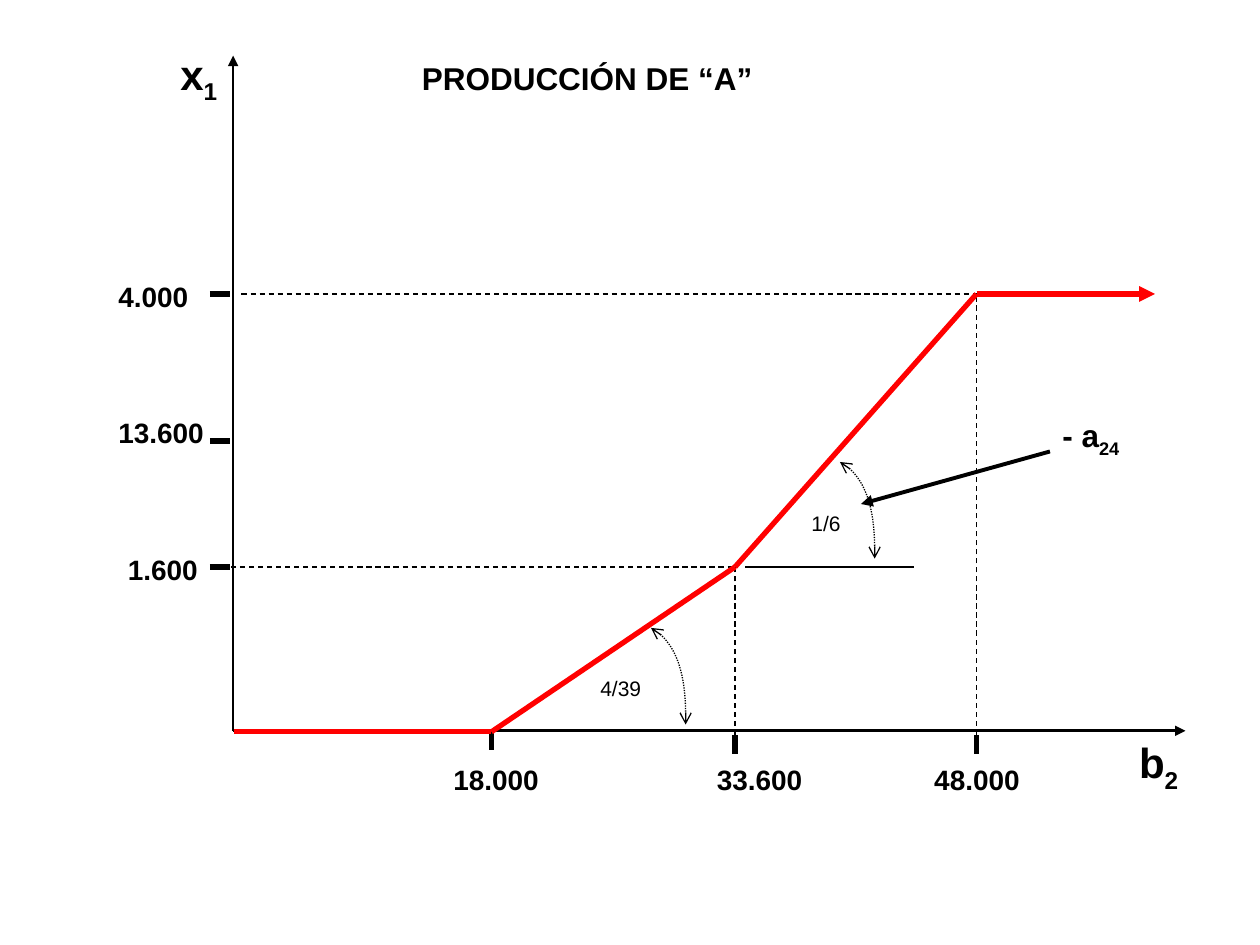
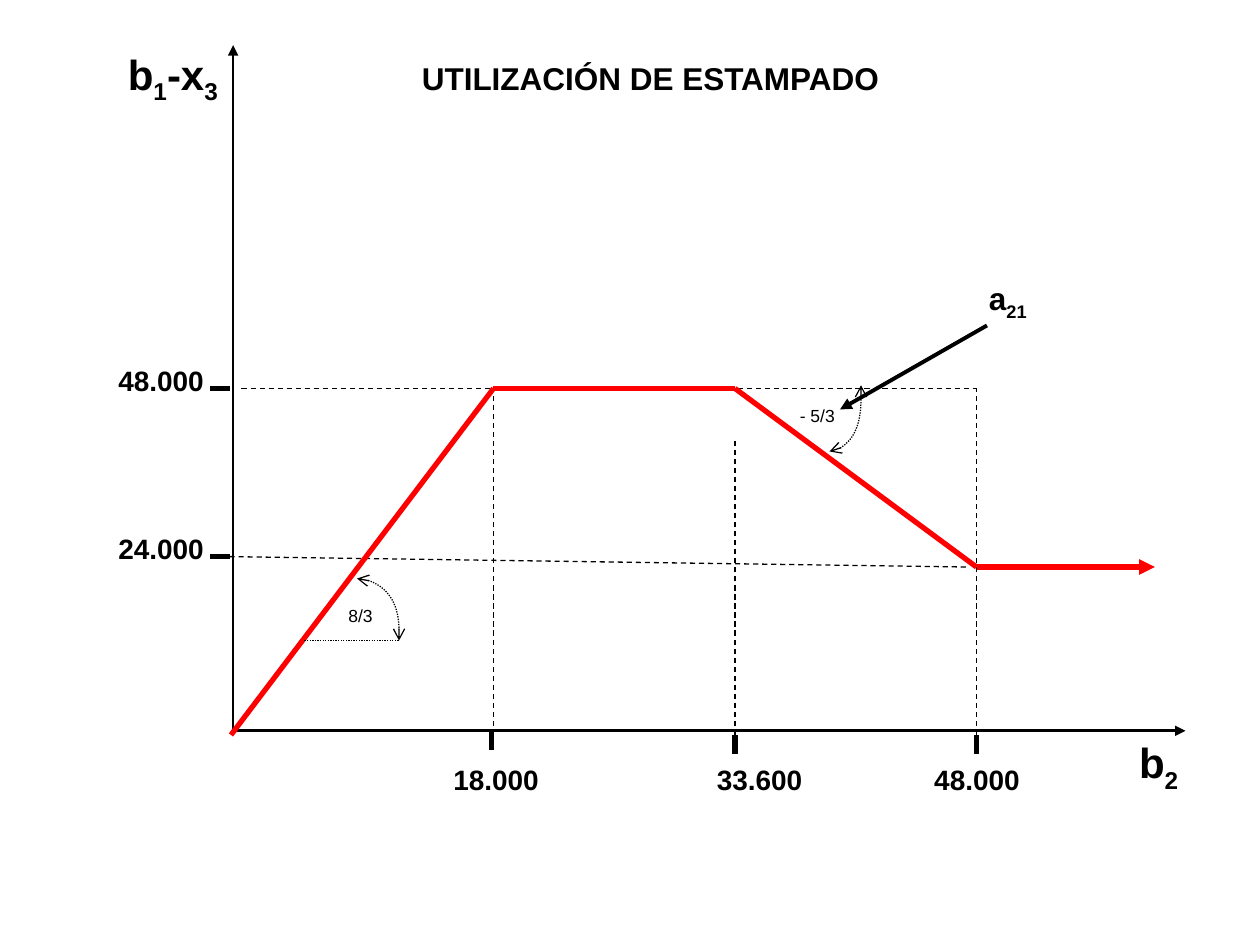
from lxml import etree
from pptx import Presentation
from pptx.dml.color import RGBColor
from pptx.enum.dml import MSO_LINE
from pptx.enum.shapes import MSO_CONNECTOR
from pptx.oxml.ns import qn
from pptx.util import Inches, Pt

COLS, ROWS = 120, 90
INK, RED = "000000", "FF0000"
FONT = "Arial"
DASH, DOT = MSO_LINE.DASH, MSO_LINE.ROUND_DOT

# Columns and rows of the plot that both charts use
LEFT, BASE = 22.2, 69.6
LOW, MID, HIGH = 46.8, 70, 93
FLOOR, TIP = 70, 110
STEEP = [(2, 0.9), (3.3, 4.3), (3.3, 8.3), (3.3, 9.2)]
ROUND = [(2.2, 0), (4, 2.2), (4, 4.9), (4, 5.9)]
RISING = [(1.6, 0), (3, -2.3), (3, -5), (3, -6.3)]


def tint(code):
    return RGBColor.from_string(code)


class Plot:
    """Draws on the current slide in grid columns and rows."""

    def __init__(self):
        self.deck = Presentation()
        self.deck.slide_width = Inches(10)
        self.deck.slide_height = Inches(7.5)
        self.cell = self.deck.slide_width / COLS
        self.shapes = None

    def emu(self, *cells):
        return [round(c * self.cell) for c in cells]

    def page(self):
        blank = self.deck.slide_layouts[6]
        self.shapes = self.deck.slides.add_slide(blank).shapes

    def text(self, parts, col, row, wide, size=16, bold=True, tall=4.4):
        """Writes parts, of which every second one is a subscript."""
        box = self.shapes.add_textbox(*self.emu(col, row, wide, tall))
        box.text_frame.word_wrap = True
        para = box.text_frame.paragraphs[0]
        for i, part in enumerate(parts):
            run = para.add_run()
            run.text = part
            if i % 2:
                run._r.get_or_add_rPr().set("baseline", "-25000")
        font = para.font
        font.name, font.size, font.bold = FONT, Pt(size), bold
        font.color.rgb = tint(INK)

    def stroke(self, line, color, width, dash=None, head=None, tail=None):
        line.color.rgb = tint(color)
        line.width = Pt(width)
        if dash:
            line.dash_style = dash
        for tag, kind in (("a:headEnd", head), ("a:tailEnd", tail)):
            if kind:
                end = etree.SubElement(line._get_or_add_ln(), qn(tag))
                end.set("type", kind)

    def line(self, start, end, color=INK, width=0.75, dash=None, tail=None):
        link = self.shapes.add_connector(
            MSO_CONNECTOR.STRAIGHT, *self.emu(*start, *end))
        self.stroke(link.line, color, width, dash, tail=tail)
        etree.SubElement(link._element.spPr, qn("a:effectLst"))

    def arc(self, start, steps):
        """Draws a dotted angle mark; steps are offsets from its start."""
        col, row = start
        build = self.shapes.build_freeform(*self.emu(col, row))
        points = [self.emu(col + dx, row + dy) for dx, dy in steps]
        build.add_line_segments(points, close=False)
        mark = build.convert_to_shape()
        mark.shadow.inherit = False
        mark.fill.background()
        self.stroke(mark.line, INK, 0.75, DOT, "arrow", "arrow")
        sides = list(mark._element.iter(qn("a:lnTo")))[:3]
        curve = etree.Element(qn("a:cubicBezTo"))
        sides[0].addprevious(curve)
        for side in sides:
            curve.append(side[0])
            side.getparent().remove(side)

    def axes(self, top):
        self.line((LEFT, BASE), (LEFT, top), width=1.5, tail="triangle")
        self.line((LEFT, BASE), (112.9, BASE), width=1.5, tail="triangle")
        self.text(("b", "2"), 107.3, BASE, 7.5, 24, tall=6.7)
        for col, row, name, left in ((LOW, BASE, "18.000", 42),
                                     (MID, FLOOR, "33.600", 67.1),
                                     (HIGH, FLOOR, "48.000", 87.8)):
            self.line((col, row + 1.8), (col, row), width=3)
            self.text((name,), left, 72, 12)

    def marks(self, items):
        """Puts ticks and values on the upright axis."""
        for name, row, left, top in items:
            self.line((20, row), (21.9, row), width=3)
            self.text((name,), left, top, 11)

    def guides(self, pairs):
        for start, end in pairs:
            self.line(start, end, dash=DASH)

    def trend(self, points):
        """Joins the points in red and ends in an arrow."""
        last = len(points) - 2
        for i, (start, end) in enumerate(zip(points, points[1:])):
            self.line(start, end, RED, 3, tail="triangle" if i == last else None)

    def slope(self, name, col, row, size, wide=6.5):
        self.text((name,), col, row, wide, size, bold=False, tall=3.5)

    def point(self, parts, col, row, wide, start, end):
        """Names a slope and points at it."""
        self.text(parts, col, row, wide, 18, tall=5.3)
        self.line(start, end, width=2.25, tail="triangle")

    def title(self, name):
        self.text((name,), 39, 5, 47, 18, tall=4.8)


def output(plot):
    low, high = 54, 28
    plot.page()
    plot.axes(5.3)
    plot.text(("x", "1"), 16, 4, 7.5, 24, tall=6.7)
    plot.marks((("4.000", high, 10.1, 26),
                ("13.600", 42, 10.1, 39),
                ("1.600", low, 11, 52)))
    plot.guides((((22, low), (MID, low)), ((MID, FLOOR), (MID, low)),
                 ((23, high), (HIGH, high)), ((HIGH, FLOOR), (HIGH, high))))
    plot.trend([(22.3, 69.7), (LOW, 69.7), (MID, low),
                (HIGH, high), (TIP, high)])
    plot.line((71, low), (87, low))
    plot.arc((62, 59.8), STEEP)
    plot.arc((80, 44), STEEP)
    plot.slope("1/6", 76.1, 48, 12)
    plot.slope("4/39", 56, 63.7, 12)
    plot.point(("- a", "24"), 100, 39, 12, (100, 43), (82, 48))
    plot.title("PRODUCCIÓN DE “A”")


def stamping(plot):
    low, high, turn = 54, 37, 47
    plot.page()
    plot.axes(4.3)
    plot.text(("b", "1", "-x", "3"), 11, 4, 12.5, 24, tall=6.7)
    plot.marks((("48.000", high, 10.1, 34), ("24.000", 53, 10.1, 50)))
    plot.guides((((turn, FLOOR), (turn, high)), ((21, 53), (92, low)),
                 ((MID, FLOOR), (MID, 42)), ((23, high), (HIGH, high)),
                 ((HIGH, FLOOR), (HIGH, high))))
    plot.trend([(22, FLOOR), (turn, high), (MID, high),
                (HIGH, low), (TIP, low)])
    plot.line((29, 61), (38, 61), dash=DOT)
    plot.arc((34, 55.1), ROUND)
    plot.arc((79, 43), RISING)
    plot.slope("- 5/3", 75, 38, 10)
    plot.slope("8/3", 32, 57, 10, 5)
    plot.point(("a", "21"), 93, 26, 8, (94, 31), (80, 39))
    plot.title("UTILIZACIÓN DE ESTAMPADO")


def main():
    plot = Plot()
    output(plot)
    stamping(plot)
    plot.deck.save("out.pptx")


if __name__ == "__main__":
    main()
